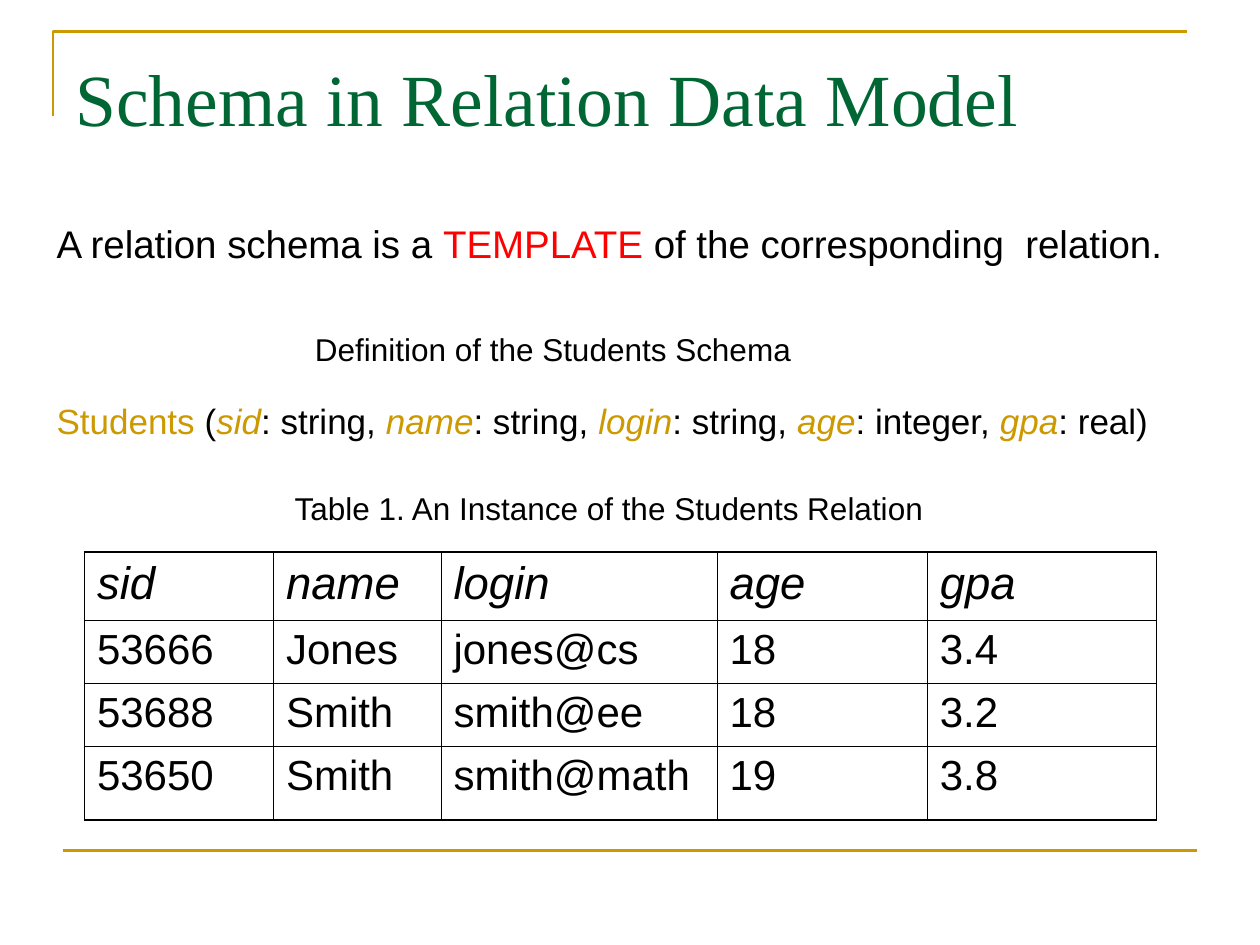
from lxml.etree import SubElement
from pptx import Presentation
from pptx.dml.color import RGBColor
from pptx.enum.shapes import MSO_CONNECTOR
from pptx.oxml.ns import qn
from pptx.util import Inches, Pt

GOLD, GREEN, BLACK, RED = "CC9900", "006633", "000000", "FF0000"


def color(value):
    return RGBColor.from_string(value)


class SchemaSlide:
    font = "Arial"
    rule_width = Pt(1.5)
    outer_border, inner_border = Pt(1.08), Pt(0.45)

    def __init__(self, slide):
        self.slide = slide

    def style_rule(self, line):
        line.color.rgb = color(GOLD)
        line.width = self.rule_width

    def corner(self, *points):
        """Open outline through the given points."""
        start, *others = [(Inches(x), Inches(y)) for x, y in points]
        builder = self.slide.shapes.build_freeform(*start)
        builder.add_line_segments(others, close=False)
        outline = builder.convert_to_shape()
        outline.shadow.inherit = False
        outline.fill.background()
        self.style_rule(outline.line)

    def rule(self, left, right, y):
        rule = self.slide.shapes.add_connector(
            MSO_CONNECTOR.STRAIGHT, Inches(left), Inches(y), Inches(right), Inches(y))
        SubElement(rule._element.spPr, qn("a:effectLst"))
        self.style_rule(rule.line)

    def add_words(self, paragraph, words, size, tint=BLACK, italic=False, font=None):
        run = paragraph.add_run()
        run.text = words
        run.font.name = font or self.font
        run.font.size = Pt(size)
        run.font.italic = italic
        run.font.color.rgb = color(tint)

    def text(self, left, top, width, height, size, runs, font=None, inset_top=0.05):
        """Text box; each run is (words, colour) or (words, colour, italic)."""
        box = self.slide.shapes.add_textbox(
            Inches(left), Inches(top), Inches(width), Inches(height))
        frame = box.text_frame
        frame.word_wrap = True
        frame.margin_top = Inches(inset_top)
        for words, tint, *italic in runs:
            self.add_words(frame.paragraphs[0], words, size, tint, bool(italic), font)

    def border(self, cell, side, width):
        line = SubElement(cell._tc.get_or_add_tcPr(), qn(f"a:ln{side}"), w=str(width))
        fill = SubElement(line, qn("a:solidFill"))
        SubElement(fill, qn("a:srgbClr"), val=BLACK)

    def table(self, left, top, widths, heights, rows):
        table = self.slide.shapes.add_table(
            len(rows), len(widths), Inches(left), Inches(top),
            Inches(sum(widths)), Inches(sum(heights))).table
        table.first_row = table.horz_banding = False
        for column, width in zip(table.columns, widths):
            column.width = Inches(width)
        for row, height in zip(table.rows, heights):
            row.height = Inches(height)
        last_row, last_column = len(rows) - 1, len(widths) - 1
        for r, values in enumerate(rows):
            header = r == 0
            for c, value in enumerate(values):
                cell = table.cell(r, c)
                edges = {"L": c == 0, "R": c == last_column,
                         "T": header, "B": r == last_row}
                for side, outer in edges.items():
                    self.border(cell, side, self.outer_border if outer else self.inner_border)
                cell.fill.background()
                self.add_words(cell.text_frame.paragraphs[0], value,
                               26 if header else 24, italic=header)


def main():
    deck = Presentation()
    deck.slide_width, deck.slide_height = Inches(10), Inches(7.5)
    page = SchemaSlide(deck.slides.add_slide(deck.slide_layouts[6]))

    # Frame rules
    page.corner((0.42, 0.92), (0.42, 0.25), (9.42, 0.25))
    page.rule(0.5, 9.5, 6.75)

    # Title
    page.text(0.5, 0.3, 8.99, 1.08, 42, [("Schema in Relation Data Model", GREEN)],
              font="Times New Roman", inset_top=0.12)

    # Instance table
    page.table(0.67, 4.38, [1.5, 1.33, 2.19, 1.67, 1.82], [0.54, 0.5, 0.5, 0.59], [
        ["sid", "name", "login", "age", "gpa"],
        ["53666", "Jones", "jones@cs", "18", "3.4"],
        ["53688", "Smith", "smith@ee", "18", "3.2"],
        ["53650", "Smith", "smith@math", "19", "3.8"],
    ])

    # Schema definition
    schema = [("Students ", GOLD), ("(", BLACK)]
    for field, kind in [("sid", ": string, "), ("name", ": string, "),
                        ("login", ": string, "), ("age", ": integer, "),
                        ("gpa", ": real)")]:
        schema += [(field, GOLD, True), (kind, BLACK)]
    page.text(0.35, 3.12, 8.98, 0.44, 20, schema)

    # Captions
    page.text(2.24, 3.83, 5.36, 0.4, 18,
              [("Table 1. An Instance of the Students Relation", BLACK)])
    page.text(2.4, 2.57, 4.41, 0.4, 18, [("Definition of the Students Schema", BLACK)])

    # Opening statement
    page.text(0.35, 1.7, 9.21, 0.47, 22, [
        ("A relation schema is a ", BLACK), ("TEMPLATE", RED),
        (" of the corresponding  relation.", BLACK)])

    deck.save("out.pptx")


if __name__ == "__main__":
    main()
